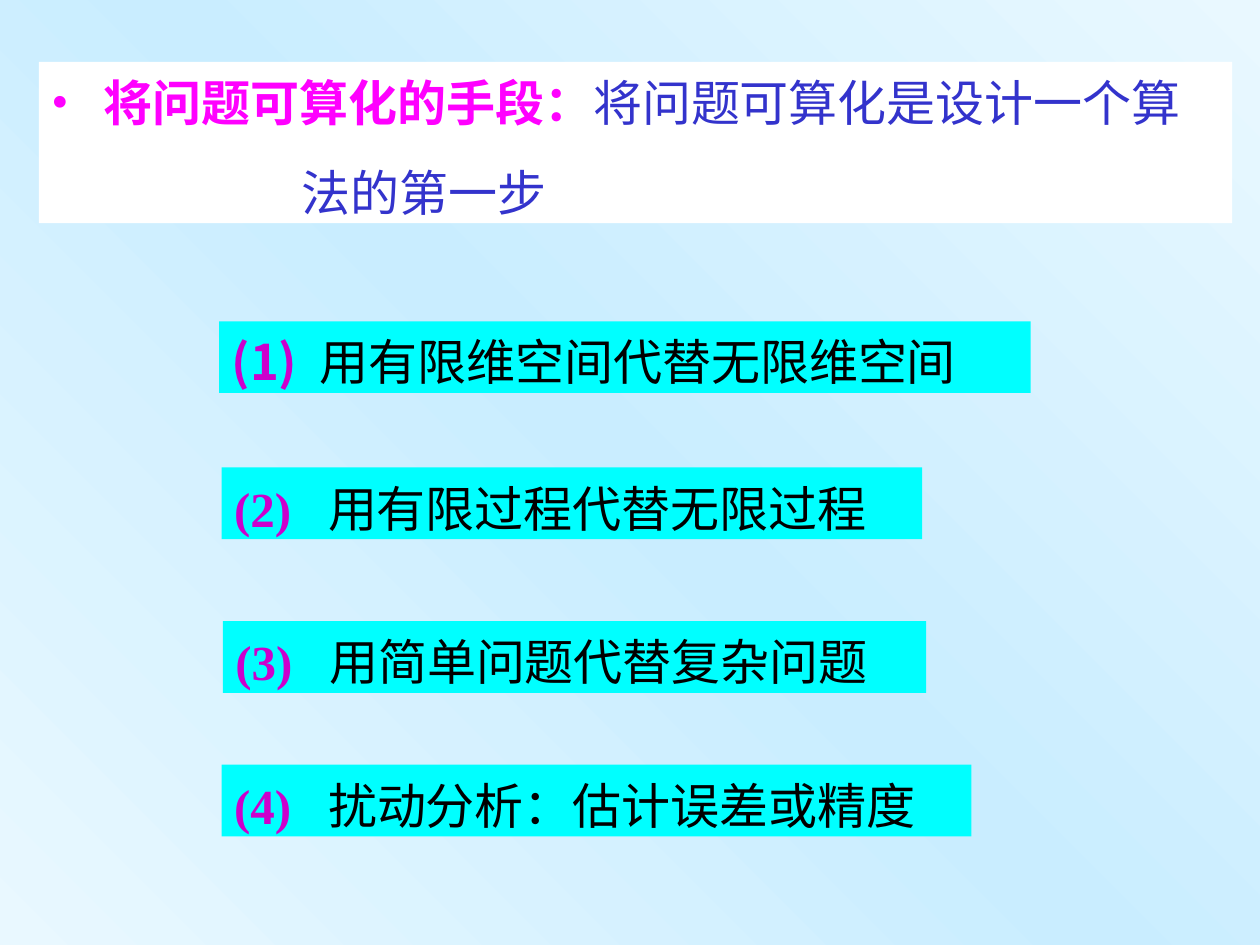
import copy
import dataclasses
import typing

import pptx
import pptx.dml.color
import pptx.enum.dml
import pptx.enum.shapes
import pptx.enum.text
import pptx.oxml
import pptx.oxml.ns
import pptx.util

Pt = pptx.util.Pt


@dataclasses.dataclass(frozen=True)
class Theme:
    sans: str = "Noto Sans CJK SC"
    serif: str = "Times New Roman"
    size: float = 28
    line: float = 33.7
    pale: str = "E9F8FF"
    sky: str = "C9EDFF"
    white: str = "FFFFFF"
    cyan: str = "00FFFF"
    pink: str = "FF00FF"
    purple: str = "CC00CC"
    blue: str = "3333CC"
    black: str = "000000"


THEME = Theme()


@dataclasses.dataclass(frozen=True)
class Span:
    text: str
    color: str
    bold: bool = False
    face: str = THEME.sans


@dataclasses.dataclass(frozen=True)
class Line:
    spans: tuple[Span, ...]
    left: float = 0
    hang: float = 0
    before: float = 0
    bullet: str = ""


@dataclasses.dataclass(frozen=True)
class Item:
    mark: str
    text: str
    left: float
    top: float
    width: float
    tab: float = 53.7
    face: str = THEME.serif


HEAD = (
    Line((Span("将问题可算化的手段：", THEME.pink, True),
          Span("将问题可算化是设计一个算", THEME.blue)),
         left=30, hang=30, bullet="•"),
    Line((Span("法的第一步", THEME.blue),), left=143, before=17.5),
)
ITEMS = (
    Item("(1)", "用有限维空间代替无限维空间", 125.3, 183.6, 463.7, 50.4, THEME.sans),
    Item("(2)", "用有限过程代替无限过程", 126.7, 267.1, 400.3),
    Item("(3)", "用简单问题代替复杂问题", 127.4, 355, 401.8),
    Item("(4)", "扰动分析：估计误差或精度", 126.7, 437, 428.4),
)


def rgb(code: str) -> pptx.dml.color.RGBColor:
    return pptx.dml.color.RGBColor.from_string(code)


def apply(target: typing.Any, values: dict[str, typing.Any]) -> None:
    for name, value in values.items():
        setattr(target, name, value)


def add_node(parent: typing.Any, tag: str, **values: str) -> typing.Any:
    node = pptx.oxml.parse_xml(f"<a:{tag} {pptx.oxml.ns.nsdecls('a')}/>")
    for name, value in values.items():
        node.set(name, value)
    parent.append(node)
    return node


def paint_back(slide: typing.Any) -> None:
    fill = slide.background.fill
    fill.gradient()
    fill.gradient_angle = 45
    stops = slide.element.find(".//" + pptx.oxml.ns.qn("a:gsLst"))
    stops.append(copy.deepcopy(stops[0]))
    colors = (THEME.pale, THEME.sky, THEME.pale)
    for stop, spot, color in zip(fill.gradient_stops, (0, 0.5, 1), colors):
        stop.position = spot
        stop.color.rgb = rgb(color)


def add_span(para: typing.Any, span: Span) -> None:
    run = para.add_run()
    run.text = span.text
    apply(run.font, {"name": span.face, "size": Pt(THEME.size), "bold": span.bold})
    run.font.color.rgb = rgb(span.color)
    add_node(run.font._element, "ea", typeface=THEME.sans)


def add_line(para: typing.Any, line: Line) -> None:
    apply(para, {
        "alignment": pptx.enum.text.PP_ALIGN.LEFT,
        "line_spacing": Pt(THEME.line),
        "space_before": Pt(line.before),
    })
    props = para._p.get_or_add_pPr()
    props.set("marL", str(Pt(line.left)))
    props.set("indent", str(-Pt(line.hang)))
    if line.bullet:
        add_node(add_node(props, "buClr"), "srgbClr", val=THEME.pink)
        add_node(props, "buFont", typeface=THEME.serif)
        add_node(props, "buChar", char=line.bullet)
    else:
        add_node(props, "buNone")
    if line.left:
        add_node(add_node(props, "tabLst"), "tab", pos=str(Pt(line.left)), algn="l")
    for span in line.spans:
        add_span(para, span)


def add_panel(slide: typing.Any, left: float, top: float, width: float,
              height: float, color: str, lines: tuple[Line, ...]) -> None:
    panel = slide.shapes.add_shape(
        pptx.enum.shapes.MSO_SHAPE.RECTANGLE,
        Pt(left), Pt(top), Pt(width), Pt(height))
    panel.shadow.inherit = False
    panel.fill.solid()
    panel.fill.fore_color.rgb = rgb(color)
    panel.line.fill.background()
    frame = panel.text_frame
    apply(frame, {
        "word_wrap": True,
        "vertical_anchor": pptx.enum.text.MSO_ANCHOR.TOP,
        "margin_left": Pt(7.2),
        "margin_right": Pt(7.2),
        "margin_top": Pt(6),
        "margin_bottom": Pt(1.2),
    })
    for index, line in enumerate(lines):
        add_line(frame.add_paragraph() if index else frame.paragraphs[0], line)


def add_item(slide: typing.Any, item: Item) -> None:
    line = Line((Span(item.mark + "\t", THEME.purple, True, item.face),
                 Span(item.text, THEME.black)),
                left=item.tab, hang=item.tab)
    add_panel(slide, item.left, item.top, item.width, 41, THEME.cyan, (line,))


def main() -> None:
    deck = pptx.Presentation()
    apply(deck, {"slide_width": Pt(720), "slide_height": Pt(540)})
    slide = deck.slides.add_slide(deck.slide_layouts[6])
    paint_back(slide)
    add_panel(slide, 22.3, 35.3, 681.8, 92.2, THEME.white, HEAD)
    for item in ITEMS:
        add_item(slide, item)
    deck.save("out.pptx")


if __name__ == "__main__":
    main()
